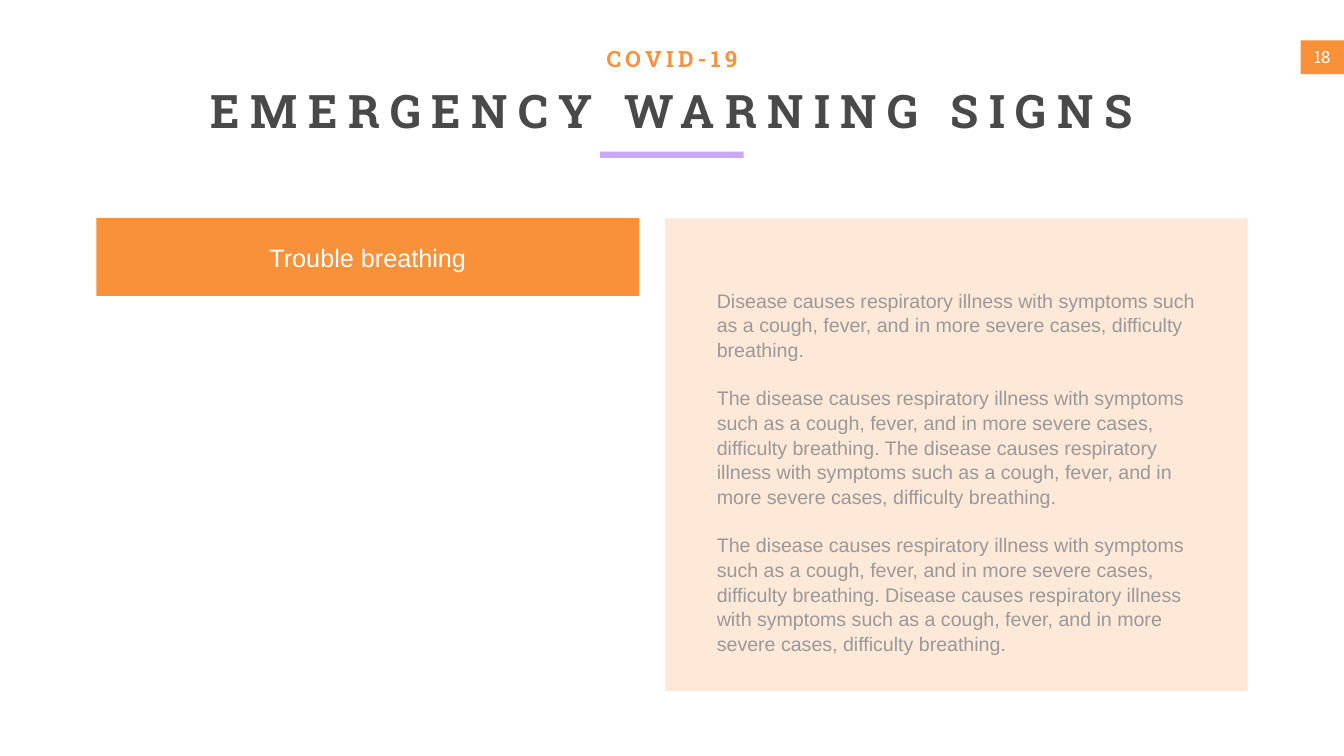
"""Build the emergency warning signs slide."""
from dataclasses import dataclass
from typing import Optional

import lxml.etree
import pptx
import pptx.dml.color
import pptx.enum.shapes
import pptx.enum.text
import pptx.oxml.ns
import pptx.util

Pt = pptx.util.Pt
RGBColor = pptx.dml.color.RGBColor
Align = pptx.enum.text.PP_ALIGN
Anchor = pptx.enum.text.MSO_ANCHOR

ORANGE = RGBColor(0xF8, 0x91, 0x3A)
PEACH = RGBColor(0xFE, 0xE9, 0xD8)
LILAC = RGBColor(0xC9, 0xA9, 0xF8)
CHARCOAL = RGBColor(0x49, 0x49, 0x49)
GRAY = RGBColor(0x99, 0x99, 0x99)
WHITE = RGBColor(0xFF, 0xFF, 0xFF)

SLIDE_WIDTH = 1919.52
SLIDE_HEIGHT = 1080
CARD_TOP = 311.8

SYMPTOMS = (
    "isease causes respiratory illness with symptoms such as a cough, fever, "
    "and in more severe cases, difficulty breathing."
)
SHORT_SENTENCE = "D" + SYMPTOMS
LONG_SENTENCE = "The d" + SYMPTOMS
DETAILS = [
    SHORT_SENTENCE,
    f"{LONG_SENTENCE} {LONG_SENTENCE}",
    f"{LONG_SENTENCE} {SHORT_SENTENCE}",
]


@dataclass(frozen=True)
class Box:
    left: float
    top: float
    width: float
    height: float


@dataclass(frozen=True)
class TextStyle:
    font: str
    size: float
    color: RGBColor
    bold: bool = False
    tracking: float = 0
    align: Align = Align.CENTER
    line_spacing: float = 1.0
    paragraph_gap: float = 0


@dataclass(frozen=True)
class Panel:
    box: Box
    fill: RGBColor
    text: str = ""
    style: Optional[TextStyle] = None


TITLE_STYLE = TextStyle("Roboto Slab", 66, CHARCOAL, bold=True, tracking=15)
TOPIC_STYLE = TextStyle("Roboto Slab", 32, ORANGE, bold=True, tracking=6)
NUMBER_STYLE = TextStyle("Roboto Slab", 24, WHITE)
SIGN_STYLE = TextStyle("Arial", 36, WHITE)
DETAIL_STYLE = TextStyle(
    "Arial", 28, GRAY, align=Align.LEFT, line_spacing=1.05, paragraph_gap=33.6
)

TITLE_BOX = Box(227.5, 113.8, 1464.5, 167)
TOPIC_BOX = Box(855, 60.5, 209.5, 46)
DETAIL_BOX = Box(1016.6, 406.8, 698.4, 516.2)

PANELS = [
    Panel(Box(SLIDE_WIDTH - 62, 57.6, 62, 48.2), ORANGE, "18", NUMBER_STYLE),
    Panel(Box((SLIDE_WIDTH - 205) / 2, 216.5, 205, 9), LILAC),
    Panel(Box(949.7, CARD_TOP, 832.3, 675.4), PEACH),
    Panel(Box(137.5, CARD_TOP, 775.4, 111), ORANGE, "Trouble breathing", SIGN_STYLE),
]


def place(shape: pptx.shapes.base.BaseShape, box: Box) -> None:
    """Move and size a shape."""
    shape.left, shape.top = Pt(box.left), Pt(box.top)
    shape.width, shape.height = Pt(box.width), Pt(box.height)


def write(
    frame: pptx.text.text.TextFrame,
    texts: list[str],
    style: TextStyle,
    anchor: Anchor = Anchor.TOP,
    wrap: bool = True,
) -> None:
    """Fill a text frame with one unbulleted paragraph per text."""
    frame.auto_size = pptx.enum.text.MSO_AUTO_SIZE.NONE
    frame.word_wrap = wrap
    frame.vertical_anchor = anchor
    for index, text in enumerate(texts):
        paragraph = frame.add_paragraph() if index else frame.paragraphs[0]
        properties = paragraph._p.get_or_add_pPr()
        properties.set("marL", "0")
        properties.set("indent", "0")
        lxml.etree.SubElement(properties, pptx.oxml.ns.qn("a:buNone"))
        paragraph.alignment = style.align
        paragraph.line_spacing = style.line_spacing
        paragraph.space_before = Pt(style.paragraph_gap if index else 0)
        paragraph.space_after = Pt(0)
        run = paragraph.add_run()
        run.text = text
        run.font.name = style.font
        run.font.size = Pt(style.size)
        run.font.bold = style.bold
        run.font.color.rgb = style.color
        if style.tracking:
            run._r.get_or_add_rPr().set("spc", str(round(style.tracking * 100)))


def add_panel(slide: pptx.slide.Slide, panel: Panel) -> None:
    """Draw a flat rectangle behind the placeholders."""
    shape = slide.shapes.add_shape(
        pptx.enum.shapes.MSO_SHAPE.RECTANGLE, Pt(0), Pt(0), Pt(1), Pt(1)
    )
    place(shape, panel.box)
    shape.shadow.inherit = False
    shape.fill.solid()
    shape.fill.fore_color.rgb = panel.fill
    shape.line.fill.background()
    if panel.style:
        write(shape.text_frame, [panel.text], panel.style, Anchor.MIDDLE, wrap=False)
    slide.shapes.title.element.addprevious(shape.element)


def main() -> None:
    """Create and save the presentation."""
    presentation = pptx.Presentation()
    presentation.slide_width = Pt(SLIDE_WIDTH)
    presentation.slide_height = Pt(SLIDE_HEIGHT)
    slide = presentation.slides.add_slide(presentation.slide_layouts[1])

    for panel in PANELS:
        add_panel(slide, panel)

    title = slide.shapes.title
    place(title, TITLE_BOX)
    write(title.text_frame, ["EMERGENCY WARNING SIGNS"], TITLE_STYLE)

    details = slide.placeholders[1]
    place(details, DETAIL_BOX)
    write(details.text_frame, DETAILS, DETAIL_STYLE)

    topic = slide.shapes.add_textbox(Pt(0), Pt(0), Pt(1), Pt(1))
    place(topic, TOPIC_BOX)
    write(topic.text_frame, ["COVID-19"], TOPIC_STYLE, wrap=False)

    presentation.save("out.pptx")


if __name__ == "__main__":
    main()
